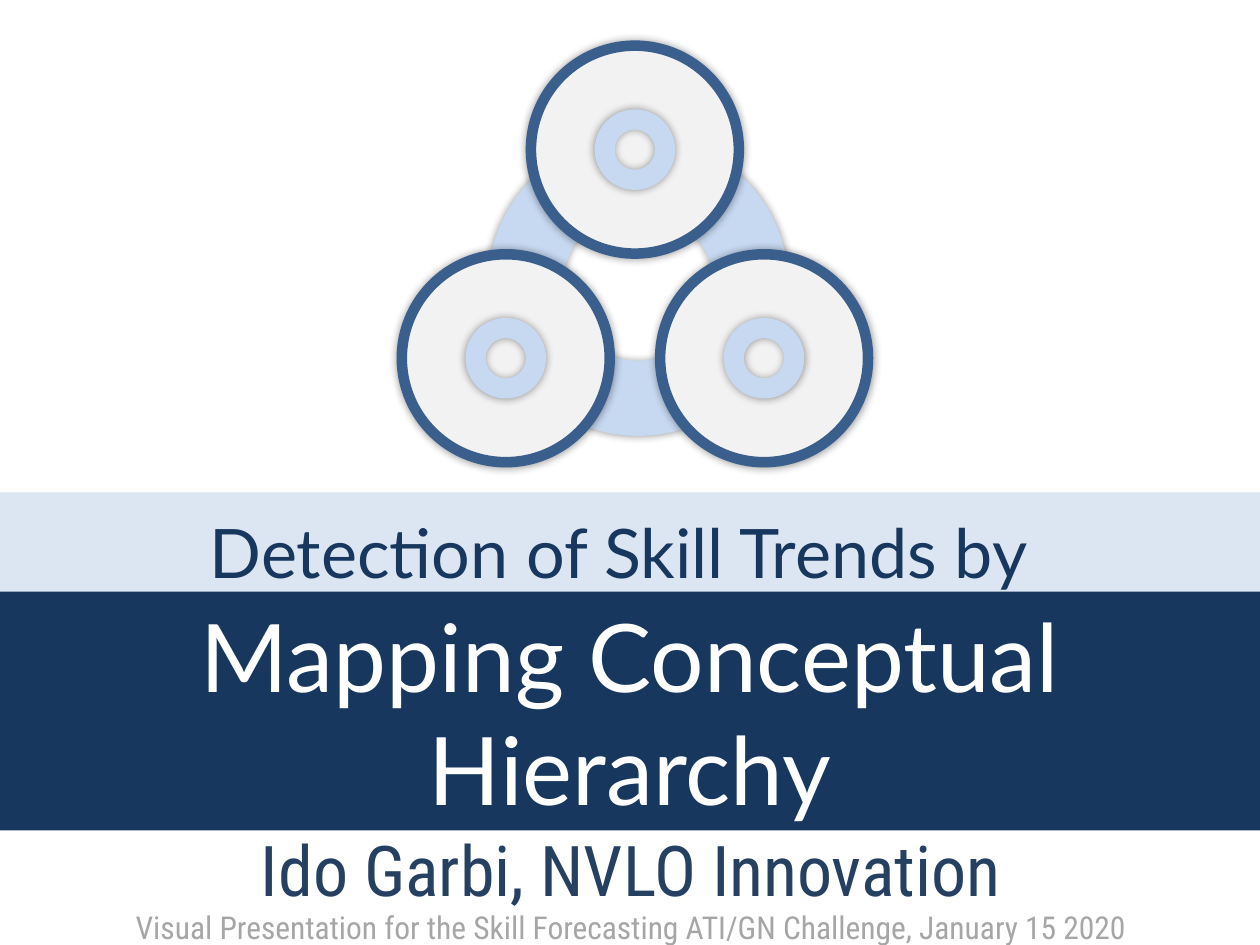
from lxml import etree
from pptx import Presentation
from pptx.dml.color import RGBColor
from pptx.enum.shapes import MSO_SHAPE
from pptx.enum.text import MSO_ANCHOR, PP_ALIGN
from pptx.oxml.ns import qn
from pptx.util import Pt

RECTANGLE, ELLIPSE, DONUT = MSO_SHAPE.RECTANGLE, MSO_SHAPE.OVAL, MSO_SHAPE.DONUT
MIDDLE, CENTER = MSO_ANCHOR.MIDDLE, PP_ALIGN.CENTER

COLORS = {
    "pale": "DCE6F2", "navy": "17375E", "white": "FFFFFF", "gray": "A6A6A6",
    "author": "254061", "ring": "C6D9F1", "disc": "F2F2F2", "rim": "3A5F8C",
    "shadow": "000000",
}
WIDTH, HEIGHT = 720, 540

# top, height, colour
BANDS = [(281.3, 57, "pale"), (338, 136.5, "navy")]

# text, (left, top, width, height), size, font, colour
LINES = [
    ("Mapping Conceptual Hierarchy", (36, 361.5, 648, 90), 54, "Lato", "white"),
    ("Visual Presentation for the Skill Forecasting ATI/GN Challenge, January 15 2020",
     (4.3, 514, 713, 31.7), 18, "Roboto Condensed", "gray"),
    ("Ido Garbi, NVLO Innovation", (36.5, 451.5, 648, 90), 40, "Roboto Condensed", "author"),
    ("Detection of Skill Trends by", (29.5, 270, 648, 90), 39, "Lato", "navy"),
]

RING_CENTER, RING_SIZE = (364.7, 163.1), 172
DISC_SIZE, HUB_SIZE, RIM_WIDTH = 118.8, 46, 6
DISC_CENTERS = [(362.8, 85.5), (289, 204.7), (436.6, 204.7)]


def rgb(name):
    return RGBColor.from_string(COLORS[name])


def add_filled(slide, preset, box, color):
    shape = slide.shapes.add_shape(preset, *map(Pt, box))
    shape.shadow.inherit = False
    shape.fill.solid()
    shape.fill.fore_color.rgb = rgb(color)
    shape.line.fill.background()
    return shape


def add_glow_shadow(shape):
    """Put a soft, centred shadow at 40 % opacity behind the shape."""
    effects = shape.element.spPr.find(qn("a:effectLst"))
    shadow = etree.SubElement(effects, qn("a:outerShdw"), blurRad=str(Pt(5)),
                              dist="0", dir="0", algn="ctr", rotWithShape="0")
    color = etree.SubElement(shadow, qn("a:srgbClr"), val=COLORS["shadow"])
    etree.SubElement(color, qn("a:alpha"), val="40000")


def add_round(slide, preset, center, size, color):
    x, y = center
    shape = add_filled(slide, preset, (x - size / 2, y - size / 2, size, size), color)
    add_glow_shadow(shape)
    return shape


def add_line(slide, text, box, size, font, color):
    frame = slide.shapes.add_textbox(*map(Pt, box)).text_frame
    frame.word_wrap = True
    frame.vertical_anchor = MIDDLE
    paragraph = frame.paragraphs[0]
    paragraph.alignment = CENTER
    run = paragraph.add_run()
    run.text = text
    run.font.size = Pt(size)
    run.font.name = font
    run.font.color.rgb = rgb(color)


def main():
    deck = Presentation()
    deck.slide_width, deck.slide_height = Pt(WIDTH), Pt(HEIGHT)
    slide = deck.slides.add_slide(deck.slide_layouts[6])

    for top, height, color in BANDS:
        add_filled(slide, RECTANGLE, (0, top, WIDTH, height), color)
    for line in LINES:
        add_line(slide, *line)

    add_round(slide, DONUT, RING_CENTER, RING_SIZE, "ring")
    for center in DISC_CENTERS:
        disc = add_round(slide, ELLIPSE, center, DISC_SIZE, "disc")
        disc.line.color.rgb = rgb("rim")
        disc.line.width = Pt(RIM_WIDTH)
    for center in DISC_CENTERS:
        add_round(slide, DONUT, center, HUB_SIZE, "ring")

    deck.save("out.pptx")


if __name__ == "__main__":
    main()
